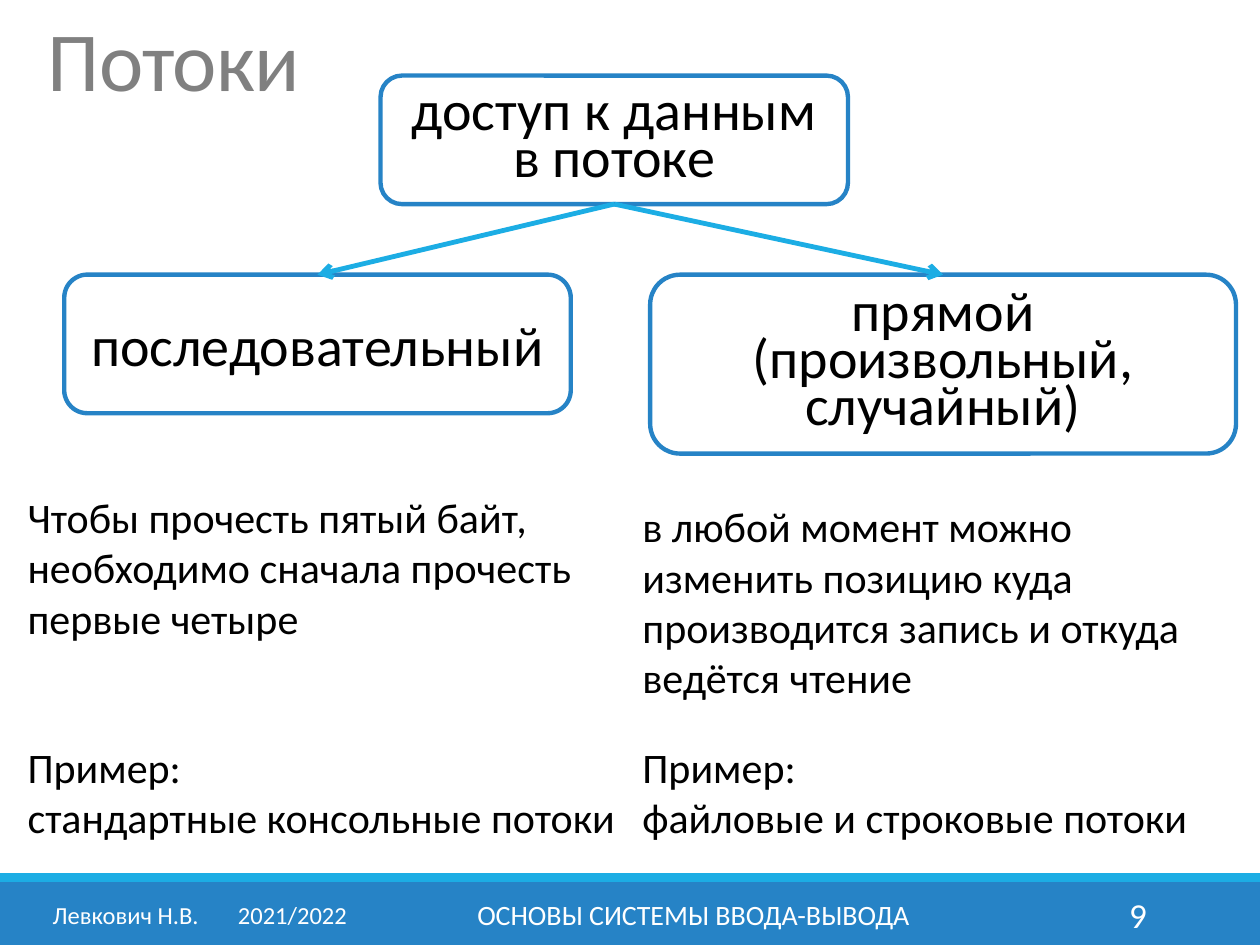
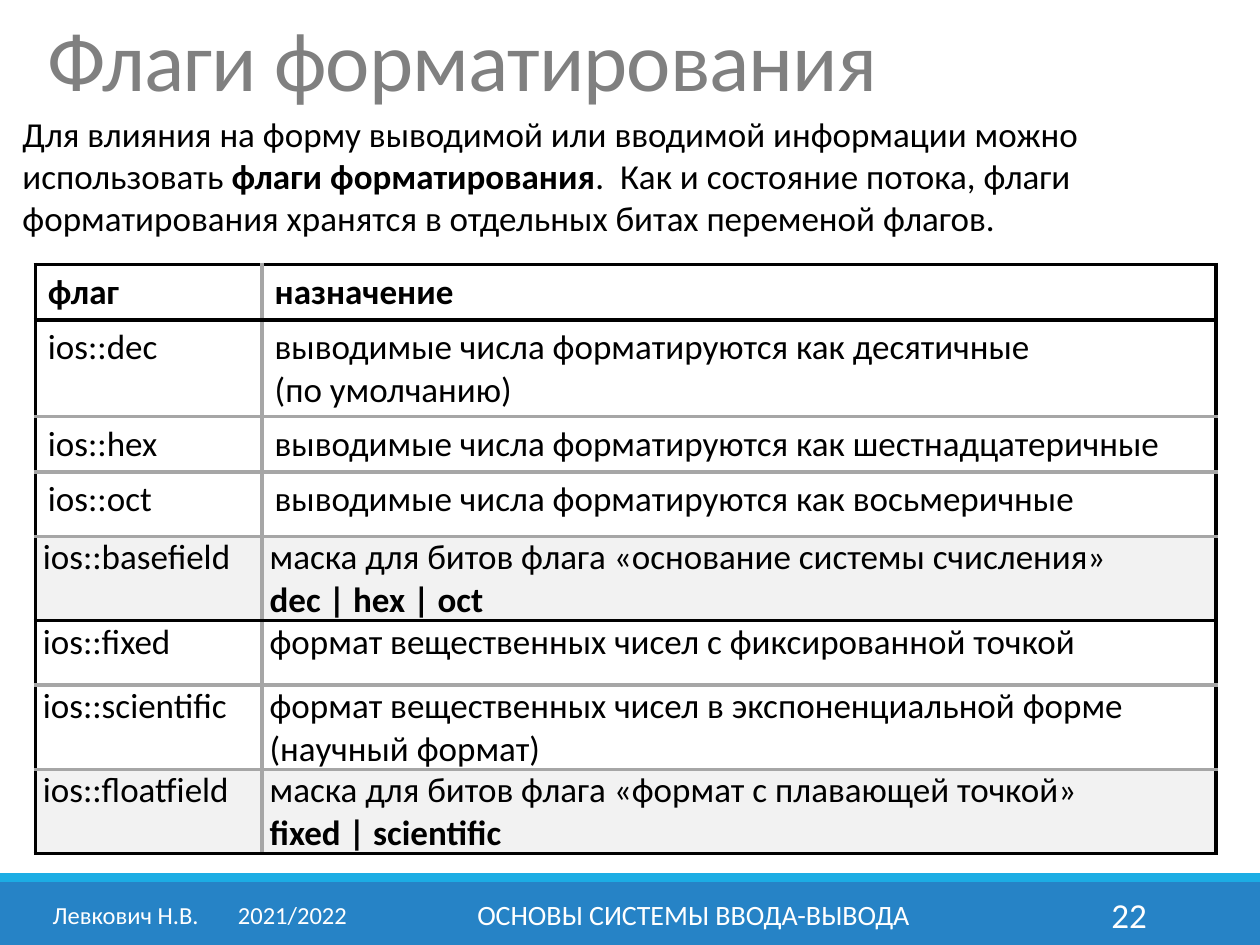
from dataclasses import dataclass

from lxml import etree
from pptx import Presentation
from pptx import util as u
from pptx.dml.color import RGBColor
from pptx.enum import shapes, text
from pptx.oxml.ns import qn


@dataclass(frozen=True)
class Theme:
    font: str = "Calibri"
    ink: str = "000000"
    paper: str = "FFFFFF"
    heading: str = "808080"
    band: str = "2683C6"
    accent: str = "1CADE4"
    grid: str = "A6A6A6"
    mask: str = "F2F2F2"
    title: int = 48
    node: int = 32
    prose: int = 24
    table: int = 20
    number: int = 20
    course: int = 16
    author: int = 14
    rule: float = 2.25


THEME = Theme()
COLUMNS, ROWS = 100, 75
CELL = u.Inches(0.1)
MIDDLE = text.MSO_ANCHOR.MIDDLE
CENTER = text.PP_ALIGN.CENTER


@dataclass(frozen=True)
class Box:
    col: float
    row: float
    cols: float
    rows: float

    def inner(self, col, row, cols, rows):
        return Box(self.col + col, self.row + row, cols, rows)

    def place(self):
        return [u.Emu(round(n * CELL)) for n in (self.col, self.row, self.cols, self.rows)]


PAGE = Box(0, 0, COLUMNS, ROWS)
FOOTER = PAGE.inner(0, 69.3, COLUMNS, 5.7)


def rgb(color):
    return RGBColor.from_string(color)


def write_text(frame, content, size=THEME.prose, color=THEME.ink, align=None,
               anchor=None, leading=None, tracking=None, tab=None):
    frame.word_wrap = True
    if anchor is not None:
        frame.vertical_anchor = anchor
    paragraph = frame.paragraphs[0]
    paragraph.alignment = align
    paragraph.line_spacing = leading
    if tab:
        stops = etree.SubElement(paragraph._p.get_or_add_pPr(), qn("a:tabLst"))
        etree.SubElement(stops, qn("a:tab"), pos=str(u.Inches(tab)), algn="l")
    for i, phrase in enumerate(content.split("*")):
        for j, line in enumerate(phrase.split("\n")):
            if j:
                paragraph.add_line_break()
            if not line:
                continue
            run = paragraph.add_run()
            run.text = line
            run.font.name = THEME.font
            run.font.size = u.Pt(size)
            run.font.bold = i % 2 == 1
            run.font.color.rgb = rgb(color)
            if tracking:
                run._r.get_or_add_rPr().set("spc", str(round(tracking * 100)))


def add_words(slide, box, content, **style):
    write_text(slide.shapes.add_textbox(*box.place()).text_frame, content, **style)


def add_panel(slide, box, kind, fill, line=None):
    panel = slide.shapes.add_shape(kind, *box.place())
    panel.shadow.inherit = False
    panel.fill.solid()
    panel.fill.fore_color.rgb = rgb(fill)
    if line:
        panel.line.color.rgb = rgb(line)
        panel.line.width = u.Pt(2.5)
    else:
        panel.line.fill.background()
    return panel


def add_footer(slide, box, number):
    rectangle = shapes.MSO_SHAPE.RECTANGLE
    add_panel(slide, box.inner(0, 0.7, box.cols, 5), rectangle, THEME.band)
    add_panel(slide, box.inner(0, 0, box.cols, 0.7), rectangle, THEME.accent)
    entries = [
        (3.2, 26.1, "Левкович Н.В.\t2021/2022", THEME.author, None, 1.47),
        (30.2, 49.7, "ОСНОВЫ СИСТЕМЫ ВВОДА-ВЫВОДА", THEME.course, CENTER, None),
        (81.2, 10.8, str(number), THEME.number, text.PP_ALIGN.RIGHT, None),
    ]
    for col, cols, content, size, align, tab in entries:
        add_words(slide, box.inner(col, 1.3, cols, 4), content, size=size,
                  color=THEME.paper, align=align, anchor=MIDDLE, tab=tab)


def add_page(deck, heading, heading_box, number):
    slide = deck.slides.add_slide(deck.slide_layouts.get_by_name("Title Only"))
    add_footer(slide, FOOTER, number)
    title = slide.shapes.title
    title.left, title.top, title.width, title.height = heading_box.place()
    title.text_frame.auto_size = text.MSO_AUTO_SIZE.NONE
    write_text(title.text_frame, heading, size=THEME.title, color=THEME.heading,
               align=text.PP_ALIGN.LEFT, anchor=text.MSO_ANCHOR.TOP,
               leading=0.85, tracking=-0.5)
    return slide


def add_node(slide, box, content, leading=None):
    node = add_panel(slide, box, shapes.MSO_SHAPE.ROUNDED_RECTANGLE, THEME.paper, THEME.band)
    write_text(node.text_frame, content, size=THEME.node, align=CENTER,
               anchor=MIDDLE, leading=leading)
    return node


def add_branch(slide, parent, child):
    branch = slide.shapes.add_connector(shapes.MSO_CONNECTOR.STRAIGHT, 0, 0, 0, 0)
    branch.begin_connect(parent, 2)
    branch.end_connect(child, 0)
    branch.line.color.rgb = rgb(THEME.accent)
    branch.line.width = u.Pt(2.75)
    etree.SubElement(branch.line._get_or_add_ln(), qn("a:tailEnd"), type="arrow")
    etree.SubElement(branch._element.spPr, qn("a:effectLst"))


def add_access_tree(slide, box):
    access = add_node(slide, box.inner(25.1, 0, 37.1, 10.2), "доступ к данным в потоке", 0.7)
    sequential = add_node(slide, box.inner(0, 15.8, 40.2, 11), "последовательный")
    direct = add_node(slide, box.inner(46.5, 15.8, 46.5, 14.2),
                      "прямой (произвольный,\nслучайный)", 0.7)
    for kind in (sequential, direct):
        add_branch(slide, access, kind)


def add_access_notes(slide, box, explanation, explanation_box, example):
    add_words(slide, explanation_box, explanation, anchor=MIDDLE)
    add_words(slide, box.inner(0, 26, box.cols, 9.7), "Пример:\n" + example, anchor=MIDDLE)


def build_streams(deck):
    slide = add_page(deck, "Потоки", PAGE.inner(2.8, 1.3, 94.5, 8.7), 9)
    add_access_tree(slide, PAGE.inner(5.1, 6, 93, 30))
    sequential = PAGE.inner(1.2, 32, 48.8, 35.7)
    direct = PAGE.inner(50, 32, 48.8, 35.7)
    add_access_notes(slide, sequential,
                     "Чтобы прочесть пятый байт, необходимо сначала прочесть первые четыре",
                     sequential.inner(0, 0, 51.2, 26), "стандартные консольные потоки")
    add_access_notes(slide, direct,
                     "в любой момент можно изменить позицию куда производится запись "
                     "и откуда ведётся чтение",
                     direct.inner(0, 7.1, 48.8, 17.3), "файловые и строковые потоки")


FLAGS = [
    ("*флаг*", "*назначение*", 4.4),
    ("ios::dec", "выводимые числа форматируются как десятичные\n(по умолчанию)", 7.6),
    ("ios::hex", "выводимые числа форматируются как шестнадцатеричные", 4.4),
    ("ios::oct", "выводимые числа форматируются как восьмеричные", 5.1),
    ("ios::basefield",
     "маска для битов флага «основание системы счисления»\n*dec | hex | oct*", 6.7),
    ("ios::fixed", "формат вещественных чисел с фиксированной точкой", 5.1),
    ("ios::scientific",
     "формат вещественных чисел в экспоненциальной форме (научный формат)", 6.7),
    ("ios::floatfield",
     "маска для битов флага «формат с плавающей точкой»\n*fixed | scientific*", 6.7),
]
FIRST_TIGHT_ROW = 4
GROUP_ENDS = (0, 4, len(FLAGS) - 1)


def set_borders(cell, left, right, top, bottom):
    properties = cell._tc.get_or_add_tcPr()
    for side, strong in zip("LRTB", (left, right, top, bottom)):
        edge = etree.SubElement(properties, qn("a:ln" + side), w=str(u.Pt(THEME.rule)))
        fill = etree.SubElement(edge, qn("a:solidFill"))
        etree.SubElement(fill, qn("a:srgbClr"), val=THEME.ink if strong else THEME.grid)


def add_flag_table(slide, box):
    grid = slide.shapes.add_table(len(FLAGS), 2, *box.place()).table
    grid.horz_banding = False
    for column, cols in zip(grid.columns, (18, box.cols - 18)):
        column.width = round(cols * CELL)
    for r, (flag, purpose, rows) in enumerate(FLAGS):
        grid.rows[r].height = round(rows * CELL)
        for c, content in enumerate((flag, purpose)):
            cell = grid.cell(r, c)
            set_borders(cell, c == 0, c == 1, r == 0 or r - 1 in GROUP_ENDS, r in GROUP_ENDS)
            cell.fill.solid()
            cell.fill.fore_color.rgb = rgb(THEME.mask if flag.endswith("field") else THEME.paper)
            if r >= FIRST_TIGHT_ROW:
                cell.margin_left = cell.margin_right = u.Inches(0.06)
                cell.margin_top = cell.margin_bottom = 0
            write_text(cell.text_frame, content, size=THEME.table)


def build_flags(deck):
    slide = add_page(deck, "Флаги форматирования", PAGE.inner(2.8, 1.3, 80.5, 7.9), 22)
    add_words(slide, PAGE.inner(0.8, 8.4, 96.5, 11.1),
              "Для влияния на форму выводимой или вводимой информации можно использовать "
              "*флаги форматирования*.  Как и состояние потока, флаги форматирования "
              "хранятся в отдельных битах переменой флагов.", size=THEME.table)
    add_flag_table(slide, PAGE.inner(2.8, 21, 93.7, 46.5))


def main():
    deck = Presentation()
    deck.slide_width, deck.slide_height = COLUMNS * CELL, ROWS * CELL
    build_streams(deck)
    build_flags(deck)
    deck.save("out.pptx")


if __name__ == "__main__":
    main()
